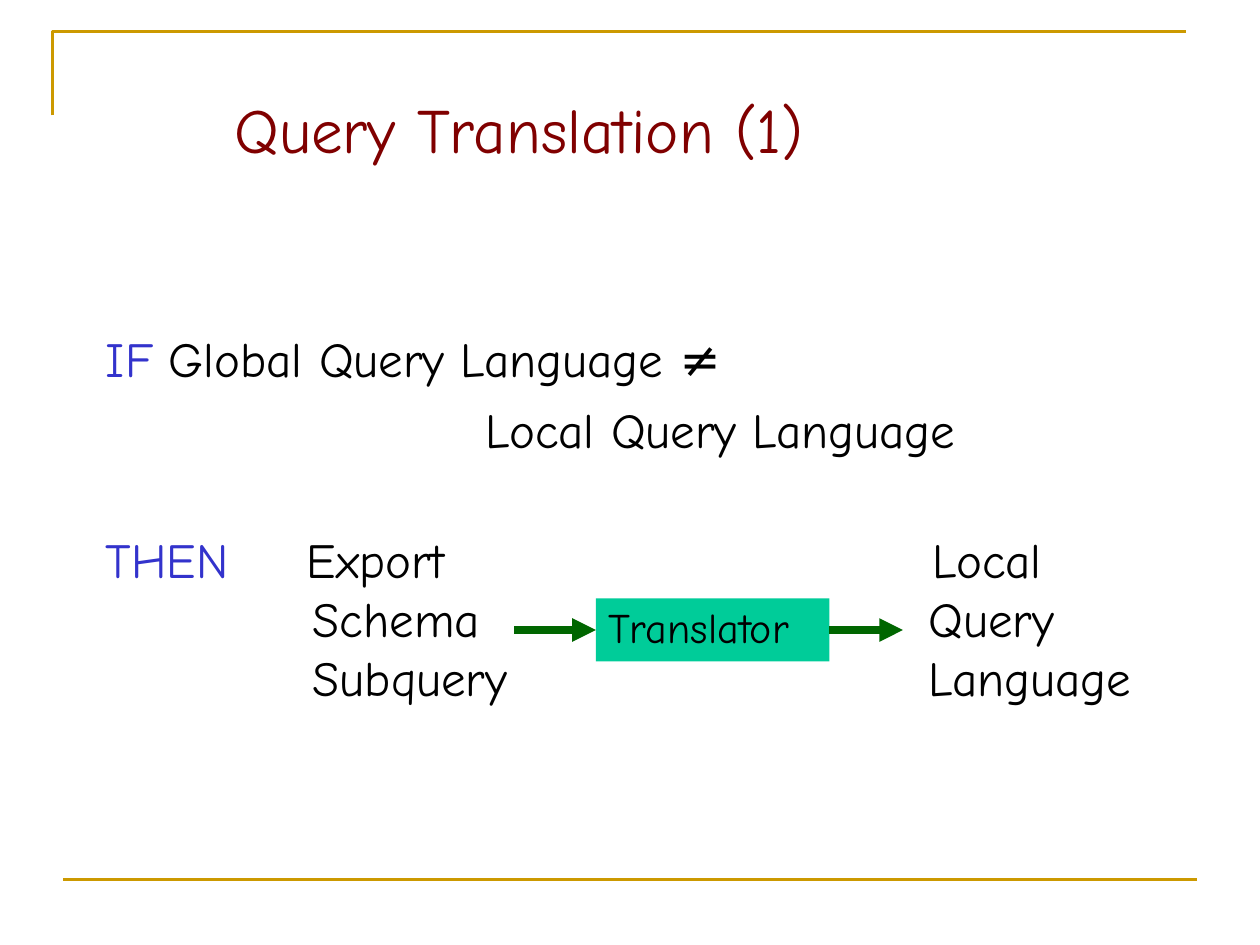
import pptx
import pptx.util
import pptx.dml.color
import pptx.enum.shapes
import pptx.enum.text
import pptx.oxml.ns
from lxml import etree

Pt = pptx.util.Pt
ANCHOR = pptx.enum.text.MSO_ANCHOR
FONT = "Comic Neue"
COLORS = {"rule": "CC9900", "title": "800000", "key": "3333CC",
          "text": "000000", "box": "00CC99", "arrow": "006600"}


def color(name):
    return pptx.dml.color.RGBColor.from_string(COLORS[name])


def assign(target, values):
    for name, value in values.items():
        setattr(target, name, value)


def node(parent, tag, **attrs):
    item = etree.SubElement(parent, pptx.oxml.ns.qn(tag))
    for name, value in attrs.items():
        item.set(name, str(value))
    return item


def set_frame(frame, left=0, top=0):
    assign(frame, {"word_wrap": True, "vertical_anchor": ANCHOR.TOP,
                   "auto_size": pptx.enum.text.MSO_AUTO_SIZE.NONE,
                   "margin_left": Pt(left), "margin_top": Pt(top),
                   "margin_right": 0, "margin_bottom": 0})


def write(para, runs, size=28, margin=0, indent=0, tab=None):
    """Fill a paragraph with (text, color name) runs."""
    props = para._p.get_or_add_pPr()
    props.set("marL", str(Pt(margin)))
    props.set("indent", str(Pt(indent)))
    if tab:
        node(node(props, "a:tabLst"), "a:tab", pos=Pt(tab), algn="l")
    para.alignment = pptx.enum.text.PP_ALIGN.LEFT
    for text, name in runs:
        run = para.add_run()
        run.text = text
        assign(run.font, {"name": FONT, "size": Pt(size), "bold": False})
        run.font.color.rgb = color(name)


def add_text(slide, box, runs, **kinds):
    shape = slide.shapes.add_textbox(*map(Pt, box))
    set_frame(shape.text_frame)
    write(shape.text_frame.paragraphs[0], runs, **kinds)
    return shape.text_frame


def add_line(slide, start, end, name, width, head=False):
    line = slide.shapes.add_connector(
        pptx.enum.shapes.MSO_CONNECTOR.STRAIGHT, *map(Pt, start + end))
    line.line.color.rgb = color(name)
    line.line.width = Pt(width)
    if head:
        node(line.line._get_or_add_ln(), "a:tailEnd",
             type="triangle", w="med", len="med")
    node(line._element.spPr, "a:effectLst")
    return line


def add_rules(slide, box):
    """Corner rule at the top left, straight rule at the bottom."""
    left, top, width, height = box
    path = slide.shapes.build_freeform(Pt(left), Pt(top + 48))
    path.add_line_segments([(Pt(left), Pt(top)),
                            (Pt(left + width), Pt(top))], close=False)
    corner = path.convert_to_shape()
    corner.shadow.inherit = False
    corner.fill.background()
    corner.line.color.rgb = color("rule")
    corner.line.width = Pt(1.5)
    base = top + height
    add_line(slide, (left + 6, base), (left + width + 6, base), "rule", 1.5)


def add_title(slide, box):
    title = slide.shapes.title
    assign(title, dict(zip(("left", "top", "width", "height"), map(Pt, box))))
    set_frame(title.text_frame, top=30)
    write(title.text_frame.paragraphs[0],
          [("Query Translation (1)", "title")], size=36, margin=98)


def add_premise(slide, box):
    frame = add_text(slide, box, [("IF\t", "key"),
                                  ("Global Query Language ≠", "text")], tab=83.5)
    para = frame.add_paragraph()
    para.space_before = Pt(6.5)
    write(para, [("Local Query Language", "text")], margin=217)


def add_result(slide, box):
    """Export subquery -> translator -> local language."""
    left, top, width, height = box
    add_text(slide, (left, top, 82, 34), [("THEN", "key")])
    add_text(slide, (left + 114, top, 128, height),
             [("Export Schema Subquery", "text")], margin=4.3, indent=-3.6)
    add_text(slide, (left + width - 125, top, 125, height),
             [("Local Query Language", "text")], margin=0.7, indent=2.2)

    tool = slide.shapes.add_shape(
        pptx.enum.shapes.MSO_SHAPE.RECTANGLE,
        *map(Pt, (left + 280, top + 39.5, 133.5, 36)))
    tool.shadow.inherit = False
    tool.fill.solid()
    tool.fill.fore_color.rgb = color("box")
    tool.line.fill.background()
    set_frame(tool.text_frame, left=7, top=2)
    write(tool.text_frame.paragraphs[0], [("Translator", "text")], size=24)

    mid = top + 57.5
    feed = add_line(slide, (left + 233.5, mid), (left + 280, mid),
                    "arrow", 4.5, head=True)
    feed.end_connect(tool, 1)
    out = add_line(slide, (left + 413.5, mid), (left + 455.5, mid),
                   "arrow", 4.5, head=True)
    out.begin_connect(tool, 3)


def main():
    deck = pptx.Presentation()
    assign(deck, {"slide_width": Pt(720), "slide_height": Pt(540)})
    slide = deck.slides.add_slide(deck.slide_layouts[5])
    add_rules(slide, (30, 18, 648, 484.5))
    add_title(slide, (36, 21.5, 648, 90))
    add_premise(slide, (60.5, 188, 502, 75))
    add_result(slide, (60.5, 302.5, 594.5, 102))
    deck.save("out.pptx")


if __name__ == "__main__":
    main()
